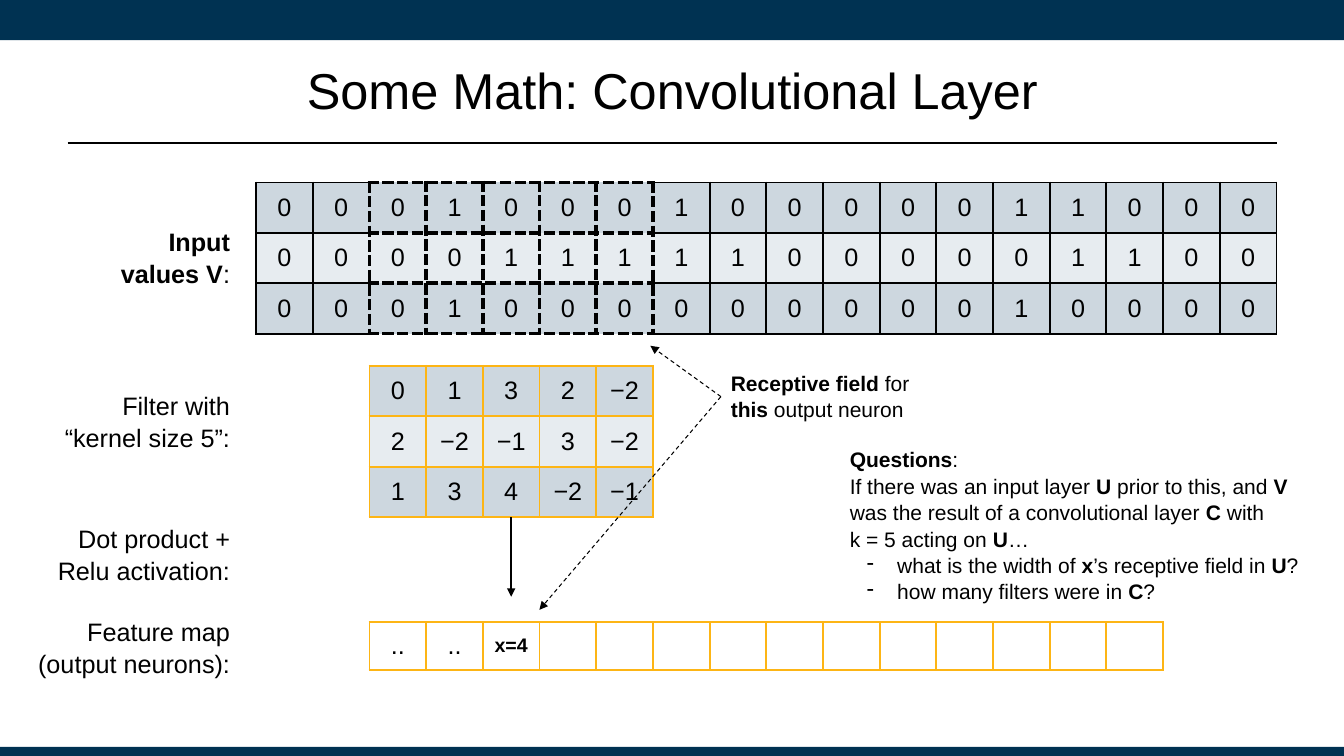
from lxml.etree import SubElement
from pptx import Presentation
from pptx.dml.color import RGBColor
from pptx.enum.dml import MSO_LINE
from pptx.enum.shapes import MSO_CONNECTOR, MSO_SHAPE
from pptx.enum.text import MSO_ANCHOR, PP_ALIGN
from pptx.oxml.ns import qn
from pptx.util import Inches, Pt

FONT = "Arial"
BLACK, NAVY, GOLD = "000000", "003252", "FDB515"
BANDS = ("CDD7DF", "E7ECF0")
COLUMN = 10.12 / 18
INPUT_LEFT = 2.54
FIELD_START, FIELD_SIZE = 2, 5
FIELD = range(FIELD_START, FIELD_START + FIELD_SIZE)
FILTER_LEFT = INPUT_LEFT + FIELD_START * COLUMN

INPUT_VALUES = ["001100010000011000"[:0] + "000100010000011000",
                "000011111000001100",
                "000100000000010000"]
FILTER_WEIGHTS = [["0", "1", "3", "2", "−2"],
                  ["2", "−2", "−1", "3", "−2"],
                  ["1", "3", "4", "−2", "−1"]]
FEATURE_MAP = [["..", "..", "*x=4*"] + [""] * 11]
INPUT_VALUES[0] = "000100010000011000"

# Top, left, width and lines of the labels beside the tables
LABELS = [
    (2.18, 0.84, 1.54, ["*Input values V*:"]),
    (3.81, 0.5, 1.88, ["Filter with “kernel size 5”:"]),
    (5.13, 0.3, 2.08, ["Dot product + Relu activation:"]),
    (6.05, 0.17, 2.21, ["Feature map", "(output neurons):"]),
]
QUESTIONS = [
    "*Questions*:",
    "If there was an input layer *U* prior to this, and *V* "
    "was the result of a convolutional layer *C* with",
    "k = 5 acting on *U*…",
    "- what is the width of *x*’s receptive field in *U*?",
    "- how many filters were in *C*?",
]


def color(value):
    return RGBColor.from_string(value)


def write(paragraph, text, size, align=PP_ALIGN.LEFT):
    """Add runs; the parts between asterisks are bold."""
    paragraph.alignment = align
    paragraph.font.size = Pt(size)
    for index, part in enumerate(text.split("*")):
        if part:
            run = paragraph.add_run()
            run.text = part
            run.font.name = FONT
            run.font.size = Pt(size)
            run.font.bold = index % 2 == 1
            run.font.color.rgb = color(BLACK)


def add_dash_bullet(paragraph):
    properties = paragraph._p.get_or_add_pPr()
    properties.set("marL", str(Inches(0.47)))
    properties.set("indent", str(Inches(-0.3)))
    SubElement(properties, qn("a:buChar"), char="-")


def add_text(slide, left, top, width, height, lines, size,
             align=PP_ALIGN.LEFT, anchor=MSO_ANCHOR.TOP, inset=0.05):
    box = slide.shapes.add_textbox(Inches(left), Inches(top), Inches(width), Inches(height))
    frame = box.text_frame
    frame.word_wrap = True
    frame.vertical_anchor = anchor
    frame.margin_left = frame.margin_right = Inches(0.1)
    frame.margin_top = frame.margin_bottom = Inches(inset)
    for index, line in enumerate(lines):
        paragraph = frame.add_paragraph() if index else frame.paragraphs[0]
        paragraph.line_spacing = 1.05
        if line.startswith("- "):
            add_dash_bullet(paragraph)
            line = line[2:]
        write(paragraph, line, size, align)
    return box


def add_bar(slide, top, height):
    bar = slide.shapes.add_shape(MSO_SHAPE.RECTANGLE, 0, Inches(top), Inches(13.33), Inches(height))
    bar.shadow.inherit = False
    bar.fill.solid()
    bar.fill.fore_color.rgb = color(NAVY)
    bar.line.fill.background()


def add_line(slide, start, end, width, dashed=False, arrow=True):
    line = slide.shapes.add_connector(
        MSO_CONNECTOR.STRAIGHT, *(Inches(value) for value in start + end))
    line.line.color.rgb = color(BLACK)
    line.line.width = Pt(width)
    if dashed:
        line.line.dash_style = MSO_LINE.DASH
    if arrow:
        SubElement(line.line._get_or_add_ln(), qn("a:tailEnd"), type="triangle")
    SubElement(line._element.spPr, qn("a:effectLst"))
    return line


def set_borders(cell, line_color, dashed_sides):
    properties = cell._tc.get_or_add_tcPr()
    for side in "LRTB":
        dashed = side in dashed_sides
        border = SubElement(properties, qn(f"a:ln{side}"), w=str(Pt(3 if dashed else 1.5)))
        fill = SubElement(border, qn("a:solidFill"))
        SubElement(fill, qn("a:srgbClr"), val=line_color)
        SubElement(border, qn("a:prstDash"), val="dash" if dashed else "solid")


def field_sides(column):
    """Sides of an input cell that belong to the receptive field's outline or grid."""
    if column in FIELD:
        return "LRTB"
    return {FIELD[0] - 1: "R", FIELD[-1] + 1: "L"}.get(column, "")


def add_grid(slide, left, top, row_height, rows, line_color, bands=(), sides=lambda column: ""):
    count = len(rows[0])
    table = slide.shapes.add_table(
        len(rows), count, Inches(left), Inches(top),
        Inches(count * COLUMN), Inches(len(rows) * row_height)).table
    table.first_row = table.horz_banding = False
    for column in table.columns:
        column.width = Inches(COLUMN)
    for r, values in enumerate(rows):
        table.rows[r].height = Inches(row_height)
        for c, value in enumerate(values):
            cell = table.cell(r, c)
            cell.vertical_anchor = MSO_ANCHOR.MIDDLE
            cell.margin_left = cell.margin_right = Inches(0.05)
            cell.margin_top = cell.margin_bottom = Inches(0.09)
            set_borders(cell, line_color, sides(c))
            if bands:
                cell.fill.solid()
                cell.fill.fore_color.rgb = color(bands[r % len(bands)])
            else:
                cell.fill.background()
            size = 14 if "*" in value else 18
            write(cell.text_frame.paragraphs[0], value, size, PP_ALIGN.CENTER)


def main():
    presentation = Presentation()
    presentation.slide_width = Inches(13.33)
    presentation.slide_height = Inches(7.5)
    slide = presentation.slides.add_slide(presentation.slide_layouts[6])

    # Frame and title
    add_bar(slide, 0, 0.4)
    add_bar(slide, 7.41, 0.09)
    add_line(slide, (0.67, 1.42), (12.67, 1.42), 1.25, arrow=False)
    add_text(slide, 0.67, 0.25, 12, 1.25, ["Some Math: Convolutional Layer"], 36,
             PP_ALIGN.CENTER, MSO_ANCHOR.MIDDLE)

    # Row labels
    for top, left, width, lines in LABELS:
        add_text(slide, left, top, width, 0.71, lines, 18, PP_ALIGN.RIGHT)

    # Input, filter and feature map
    add_grid(slide, INPUT_LEFT, 1.81, 0.5, INPUT_VALUES, BLACK, BANDS, field_sides)
    add_grid(slide, FILTER_LEFT, 3.63, 0.5, FILTER_WEIGHTS, GOLD, BANDS)
    add_line(slide, (5.07, 5.13), (5.07, 5.92), 1.5)
    add_grid(slide, FILTER_LEFT, 6.17, 0.48, FEATURE_MAP, GOLD)

    # Receptive field note, pointing at the field and its output neuron
    note = add_text(slide, 7.15, 3.61, 2.12, 0.65,
                    ["*Receptive field* for *this* output neuron"], 15)
    for target in ((5.35, 6.05), (6.45, 3.43)):
        pointer = add_line(slide, (7.15, 3.94), target, 0.75, dashed=True)
        pointer.begin_connect(note, 1)

    # Questions
    add_text(slide, 8.33, 4.32, 4.79, 1.97, QUESTIONS, 15, inset=0.1)

    presentation.save("out.pptx")


if __name__ == "__main__":
    main()
